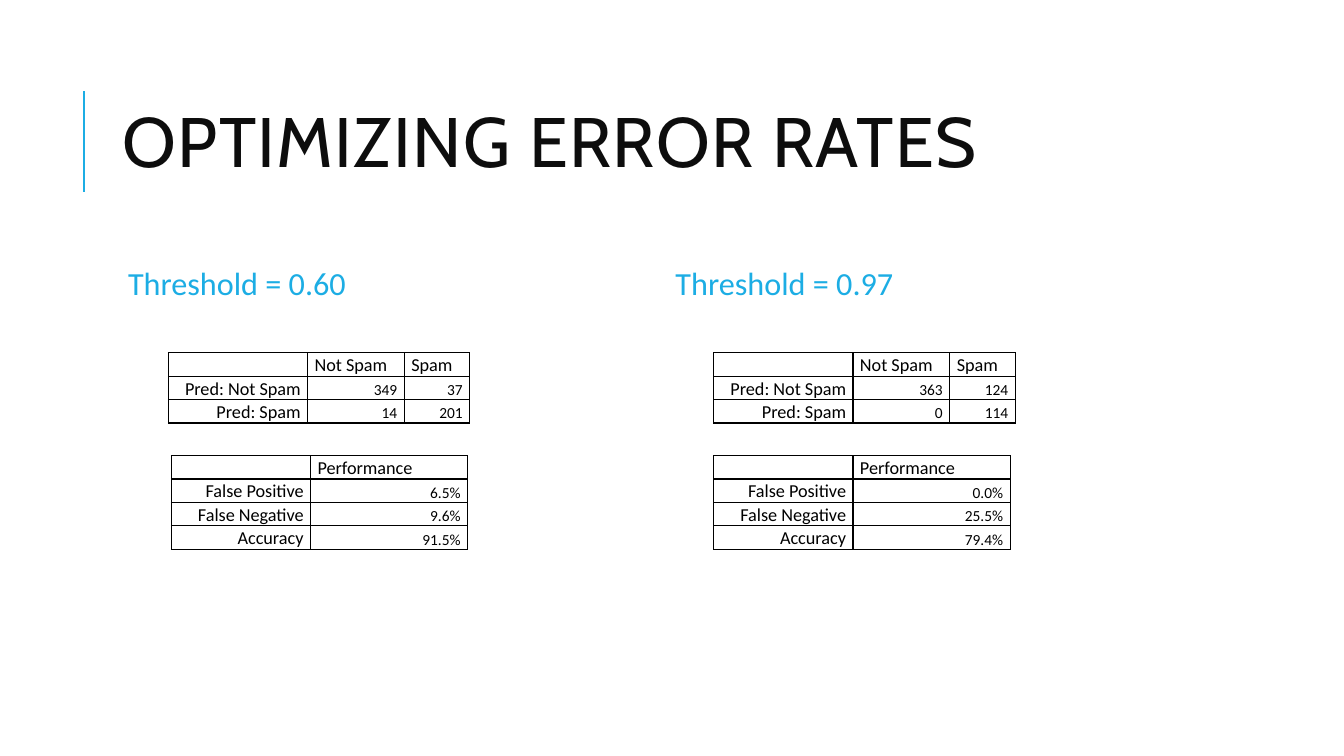
from dataclasses import dataclass

from lxml.etree import SubElement
from pptx import Presentation
from pptx.dml.color import RGBColor
from pptx.enum.shapes import MSO_CONNECTOR
from pptx.enum.text import MSO_ANCHOR, PP_ALIGN
from pptx.oxml.ns import qn
from pptx.slide import Slide
from pptx.table import _Cell
from pptx.text.text import _Paragraph
from pptx.util import Inches, Pt

COLORS = {"accent": "1CADE4", "title": "0D0D0D", "ink": "000000"}
BODY_FONT = "Calibri"
ROW_HEIGHT = 0.22
CONFUSION_TOP, PERFORMANCE_TOP = 3.5, 4.52
CONFUSION_COLUMNS = (1.38, 0.96, 0.65)
PERFORMANCE_COLUMNS = (1.38, 1.56)


@dataclass(frozen=True)
class Threshold:
    heading: str
    heading_left: float
    confusion_left: float
    performance_left: float
    not_spam_counts: tuple[str, str]
    spam_counts: tuple[str, str]
    rates: tuple[str, str, str]


THRESHOLDS = (
    Threshold("Threshold = 0.60", 1.12, 1.67, 1.7,
              ("349", "37"), ("14", "201"), ("6.5%", "9.6%", "91.5%")),
    Threshold("Threshold = 0.97", 6.55, 7.08, 7.08,
              ("363", "124"), ("0", "114"), ("0.0%", "25.5%", "79.4%")),
)


def style(paragraph: _Paragraph, size: float, color: str,
          spacing: float, name: str = BODY_FONT) -> None:
    paragraph.line_spacing = spacing
    paragraph.font.size = Pt(size)
    paragraph.font.name = name
    paragraph.font.color.rgb = RGBColor.from_string(COLORS[color])


def add_text(slide: Slide, text: str, box: tuple[float, float, float, float],
             margin: float) -> _Paragraph:
    frame = slide.shapes.add_textbox(*map(Inches, box)).text_frame
    frame.word_wrap = True
    frame.vertical_anchor = MSO_ANCHOR.MIDDLE
    frame.margin_left = frame.margin_right = Inches(margin)
    frame.text = text
    return frame.paragraphs[0]


def add_borders(cell: _Cell) -> None:
    properties = cell._tc.get_or_add_tcPr()
    for position, side in enumerate(("a:lnL", "a:lnR", "a:lnT", "a:lnB")):
        border = properties.makeelement(qn(side), {"w": str(Pt(1))})
        fill = SubElement(border, qn("a:solidFill"))
        SubElement(fill, qn("a:srgbClr"), val=COLORS["ink"])
        properties.insert(position, border)


def fill_cell(cell: _Cell, text: str, is_header: bool, is_label: bool) -> None:
    is_value = not (is_header or is_label)
    cell.fill.background()
    cell.margin_left = cell.margin_right = Inches(0.07)
    cell.margin_top = cell.margin_bottom = 0
    cell.vertical_anchor = MSO_ANCHOR.BOTTOM if is_value else MSO_ANCHOR.TOP
    cell.text = text
    paragraph = cell.text_frame.paragraphs[0]
    paragraph.alignment = PP_ALIGN.LEFT if is_header else PP_ALIGN.RIGHT
    style(paragraph, 11 if is_value else 13, "ink", 1.07)
    add_borders(cell)


def add_grid(slide: Slide, left: float, top: float, widths: tuple[float, ...],
             rows: list[tuple[str, ...]]) -> None:
    grid = slide.shapes.add_table(
        len(rows), len(widths), Inches(left), Inches(top),
        Inches(sum(widths)), Inches(ROW_HEIGHT * len(rows))).table
    grid.first_row = grid.horz_banding = False
    for column, width in zip(grid.columns, widths):
        column.width = Inches(width)
    for r, row in enumerate(rows):
        for c, text in enumerate(row):
            fill_cell(grid.cell(r, c), text, r == 0, c == 0)


def add_threshold(slide: Slide, threshold: Threshold) -> None:
    heading = add_text(slide, threshold.heading,
                       (threshold.heading_left, 2.38, 5.2, 0.9), 0.15)
    style(heading, 23, "accent", 0.9)
    add_grid(slide, threshold.confusion_left, CONFUSION_TOP, CONFUSION_COLUMNS, [
        ("", "Not Spam", "Spam"),
        ("Pred: Not Spam", *threshold.not_spam_counts),
        ("Pred: Spam", *threshold.spam_counts),
    ])
    measures = ("False Positive", "False Negative", "Accuracy")
    add_grid(slide, threshold.performance_left, PERFORMANCE_TOP, PERFORMANCE_COLUMNS,
             [("", "Performance"), *zip(measures, threshold.rates)])


def main() -> None:
    presentation = Presentation()
    presentation.slide_width = Inches(13.33)
    presentation.slide_height = Inches(7.5)
    slide = presentation.slides.add_slide(presentation.slide_layouts[6])

    # Title with its accent line
    accent = slide.shapes.add_connector(
        MSO_CONNECTOR.STRAIGHT, Inches(0.83), Inches(1.9), Inches(0.83), Inches(0.9))
    accent.line.color.rgb = RGBColor.from_string(COLORS["accent"])
    accent.line.width = Pt(1.5)
    SubElement(accent._element.spPr, qn("a:effectLst"))
    title = add_text(slide, "OPTIMIZING ERROR RATES", (1.12, 0.64, 10.63, 1.64), 0.1)
    style(title, 50, "title", 0.8, "Cabin")
    title.runs[0]._r.get_or_add_rPr().set("spc", "100")

    # Results at each threshold
    for threshold in THRESHOLDS:
        add_threshold(slide, threshold)

    presentation.save("out.pptx")


if __name__ == "__main__":
    main()
